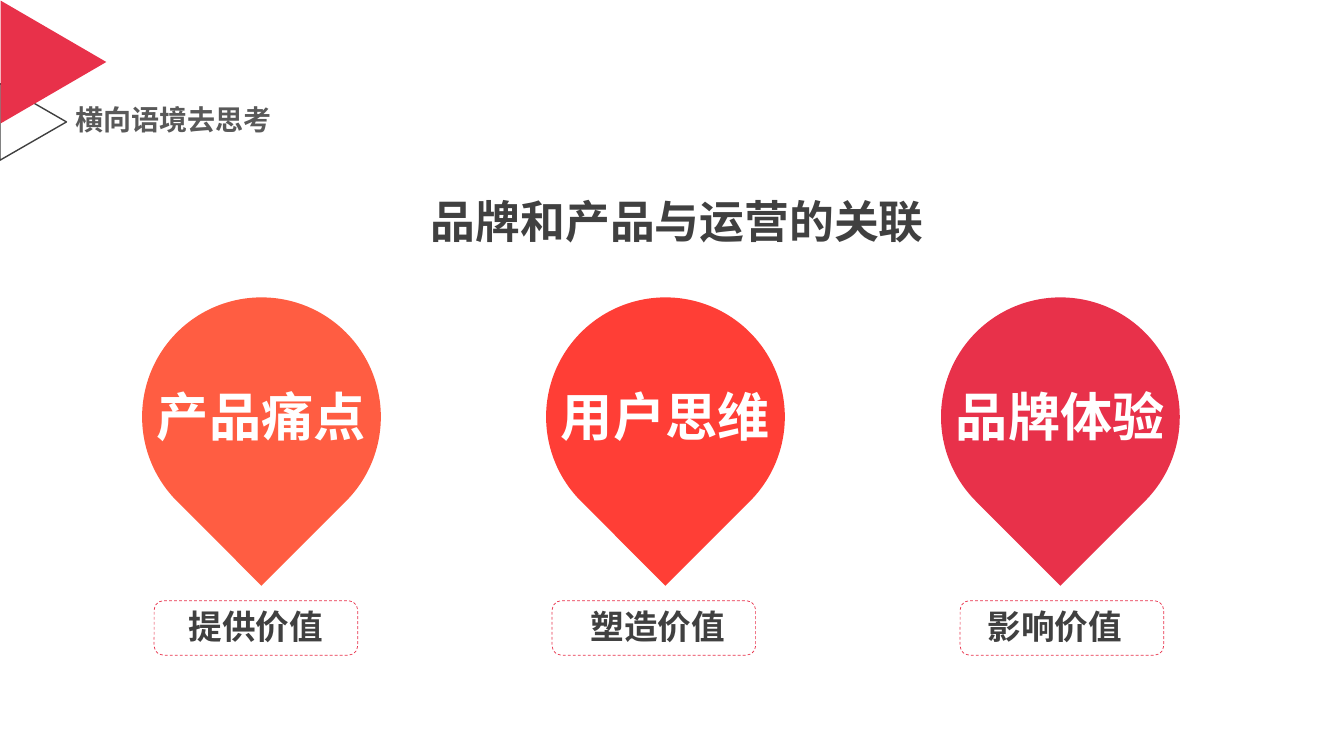
"""Build a slide linking brand, product and operations with three pins."""
from lxml import etree
from pptx import Presentation
from pptx.dml.color import RGBColor
from pptx.enum.dml import MSO_LINE
from pptx.enum.shapes import MSO_SHAPE
from pptx.enum.text import MSO_ANCHOR, PP_ALIGN
from pptx.oxml.ns import qn
from pptx.util import Inches, Pt

TRIANGLE = MSO_SHAPE.ISOSCELES_TRIANGLE
TEARDROP = MSO_SHAPE.TEAR
ROUNDED = MSO_SHAPE.ROUNDED_RECTANGLE
DASH = MSO_LINE.DASH
LEFT, CENTER = PP_ALIGN.LEFT, PP_ALIGN.CENTER
TOP, MIDDLE = MSO_ANCHOR.TOP, MSO_ANCHOR.MIDDLE

FONT = "Noto Sans CJK SC"
CRIMSON = RGBColor(0xE8, 0x31, 0x4A)
ORANGE = RGBColor(0xFF, 0x5D, 0x42)
RED = RGBColor(0xFF, 0x3E, 0x36)
DARK = RGBColor(0x40, 0x40, 0x40)
GRAY = RGBColor(0x59, 0x59, 0x59)
WHITE = RGBColor(0xFF, 0xFF, 0xFF)

presentation = Presentation()
presentation.slide_width = Inches(13.34)
presentation.slide_height = Inches(7.5)
slide = presentation.slides.add_slide(presentation.slide_layouts[6])


def add_shape(kind, left, top, width, height, fill=None, line=None,
              line_width=1, dash=None, rotation=0):
    shape = slide.shapes.add_shape(
        kind, Inches(left), Inches(top), Inches(width), Inches(height))
    shape.shadow.inherit = False
    shape.rotation = rotation
    if fill is None:
        shape.fill.background()
    else:
        shape.fill.solid()
        shape.fill.fore_color.rgb = fill
    if line is None:
        shape.line.fill.background()
    else:
        shape.line.color.rgb = line
        shape.line.width = Pt(line_width)
        shape.line.dash_style = dash


def add_text(text, left, top, width, height, size, color=DARK, align=CENTER,
             anchor=TOP, wrap=True, inset=0.1, spacing=None):
    box = slide.shapes.add_textbox(
        Inches(left), Inches(top), Inches(width), Inches(height))
    frame = box.text_frame
    frame.word_wrap = wrap
    frame.vertical_anchor = anchor
    frame.margin_left = frame.margin_right = Inches(inset)
    paragraph = frame.paragraphs[0]
    paragraph.alignment = align
    paragraph.line_spacing = spacing
    run = paragraph.add_run()
    run.text = text
    run.font.size = Pt(size)
    run.font.bold = True
    run.font.color.rgb = color
    run.font.name = FONT
    etree.SubElement(run.font._element, qn("a:ea"), typeface=FONT)


add_shape(TRIANGLE, -0.05, 0.88, 0.76, 0.66, line=DARK, rotation=90)
add_shape(TRIANGLE, -0.08, 0.09, 1.22, 1.05, fill=CRIMSON, rotation=90)
add_text("横向语境去思考", 0.7, 1, 2.07, 0.41, 20, color=GRAY, align=LEFT,
         anchor=MIDDLE, wrap=False, inset=0.05, spacing=0.9)
add_text("品牌和产品与运营的关联", 4.18, 1.87, 5.14, 0.64, 32, align=LEFT,
         wrap=False)

PIN_SIZE = 2.37
LABEL_WIDTH = 2.02
pins = [
    ("产品痛点", ORANGE, 1.41, "提供价值", 1.53, 1.53),
    ("用户思维", RED, 5.42, "塑造价值", 5.48, 5.52),
    ("品牌体验", CRIMSON, 9.34, "影响价值", 9.53, 9.46),
]
for title, color, pin_left, label, frame_left, label_left in pins:
    add_shape(TEARDROP, pin_left, 2.95, PIN_SIZE, PIN_SIZE, fill=color,
              rotation=135)
    add_text(title, pin_left, 3.76, PIN_SIZE, 0.73, 37.3, color=WHITE)
    add_text(label, label_left, 5.96, LABEL_WIDTH, 0.5, 24)
    add_shape(ROUNDED, frame_left, 5.96, LABEL_WIDTH, 0.54, line=CRIMSON,
              line_width=0.5, dash=DASH)

presentation.save("out.pptx")
